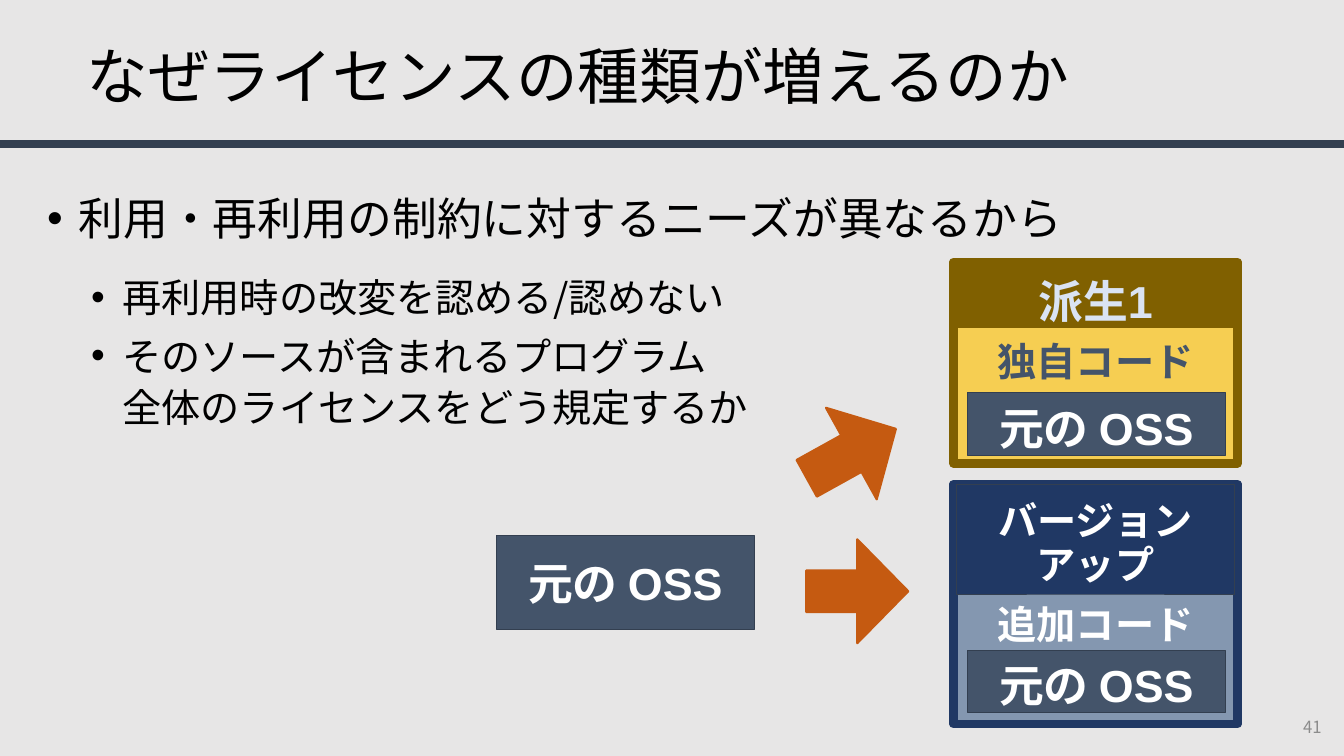
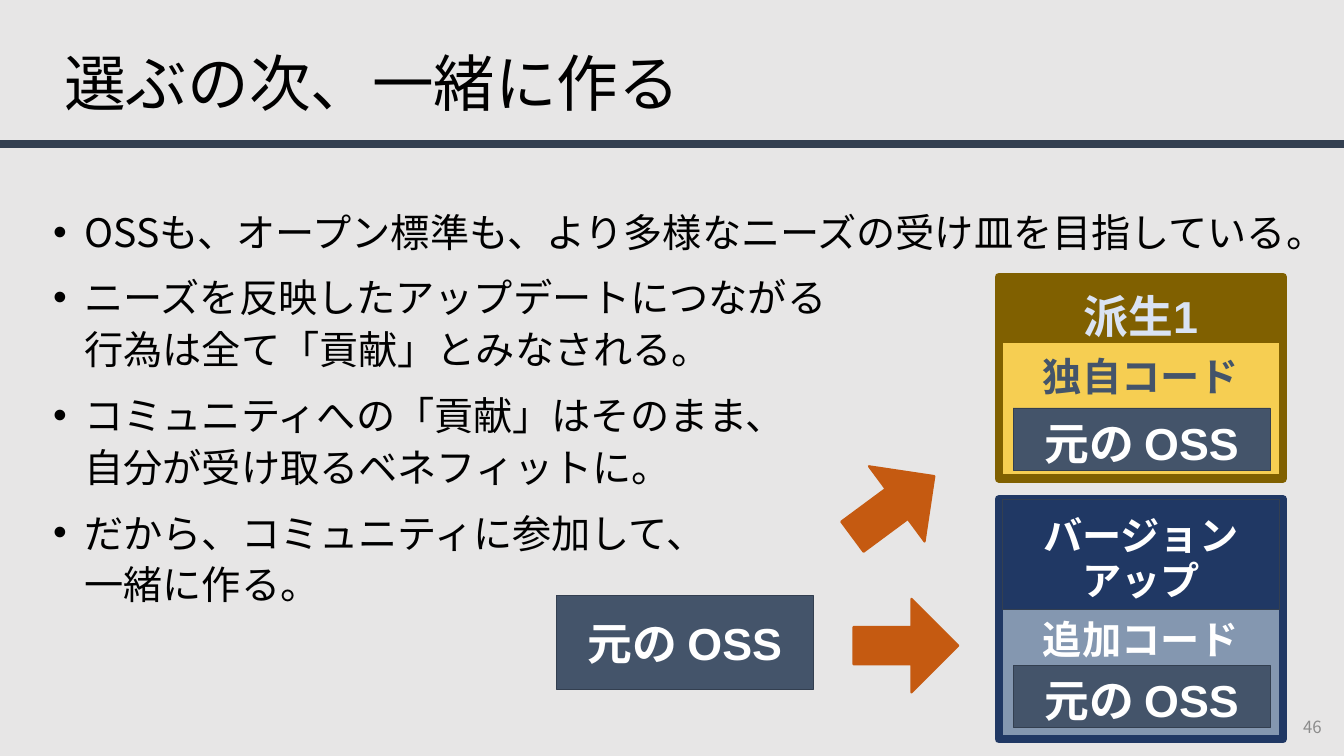
import pptx
import pptx.util
import pptx.dml.color
import pptx.enum.dml
import pptx.enum.lang
import pptx.enum.shapes
import pptx.enum.text
import pptx.oxml.ns
from lxml import etree

Cm, Pt = pptx.util.Cm, pptx.util.Pt
SHAPE = pptx.enum.shapes.MSO_SHAPE
ALIGN = pptx.enum.text.PP_ALIGN
ANCHOR = pptx.enum.text.MSO_ANCHOR
qn = pptx.oxml.ns.qn

# Shared colours and fonts
SANS, ARIAL = "Noto Sans CJK JP", "Arial"
BLACK, WHITE, PAPER, GREY = "000000", "FFFFFF", "E7E6E6", "8C8C8C"
RULE, SLATE, ORANGE = "333F50", "44546A", "C55A11"
BROWN, YELLOW, NAVY, STEEL, PALE = "806000", "F6CE52", "203864", "8497B0", "DAE3F3"

# Shared text formats
PLAIN = dict(name=SANS, bold=False)
TITLE = dict(PLAIN, size=Pt(44))
NUMBER = dict(PLAIN, size=Pt(12))
LABEL = dict(name=ARIAL, bold=True, size=Pt(28))
BIG_LABEL = dict(LABEL, size=Pt(32))

# Shared sizes in centimetres
WIDTH, HEIGHT = 33.87, 19.05
OSS_W = 6.48
PANEL_W = 7.16


def put(obj, values):
    for name, value in values.items():
        setattr(obj, name, value)


def paint(fill, colour):
    fill.solid()
    fill.fore_color.rgb = pptx.dml.color.RGBColor.from_string(colour)


def write(p, text, font, colour):
    """Fill a paragraph; a newline becomes a line break."""
    for i, part in enumerate(text.split("\n")):
        if i:
            p.add_line_break()
        r = p.add_run()
        r.text = part
        put(r.font, font)
        r.font.language_id = pptx.enum.lang.MSO_LANGUAGE_ID.JAPANESE
        paint(r.font.fill, colour)
        etree.SubElement(r.font._element, qn("a:ea"), typeface=SANS)


def add_bullet(p, indent):
    pPr = p._p.get_or_add_pPr()
    pPr.set("marL", str(Cm(indent)))
    pPr.set("indent", str(-Cm(0.79)))
    etree.SubElement(pPr, qn("a:buFont"), typeface=ARIAL)
    etree.SubElement(pPr, qn("a:buChar"), char="•")


def text_frame(s, x, y, w, h, anchor=ANCHOR.MIDDLE):
    tf = s.shapes.add_textbox(Cm(x), Cm(y), Cm(w), Cm(h)).text_frame
    put(tf, dict(word_wrap=True, vertical_anchor=anchor))
    return tf


def add_body(s, x, y, w, items):
    """Bulleted list; each item is text, size, indent and paragraph format."""
    tf = text_frame(s, x, y, w, 12.1, ANCHOR.TOP)
    for i, (text, size, indent, spacing) in enumerate(items):
        p = tf.add_paragraph() if i else tf.paragraphs[0]
        put(p, dict(spacing, line_spacing=1.1))
        add_bullet(p, indent)
        write(p, text, dict(PLAIN, size=Pt(size)), BLACK)


def add_block(shapes, kind, x, y, w, h, fill, line, weight):
    sp = shapes.add_shape(kind, Cm(x), Cm(y), Cm(w), Cm(h))
    sp.shadow.inherit = False
    paint(sp.fill, fill)
    paint(sp.line.fill, line)
    sp.line.width = Pt(weight)
    return sp


def add_label(sp, text, font, colour, top, bottom, anchor=ANCHOR.MIDDLE, spacing=None):
    tf = sp.text_frame
    put(tf, dict(word_wrap=True, vertical_anchor=anchor,
                 margin_top=Cm(top), margin_bottom=Cm(bottom)))
    p = tf.paragraphs[0]
    put(p, dict(alignment=ALIGN.CENTER, line_spacing=spacing))
    write(p, text, font, colour)


def add_oss(shapes, x, y, h=1.57, top=0.3, bottom=0.13):
    sp = add_block(shapes, SHAPE.RECTANGLE, x, y, OSS_W, h, SLATE, RULE, 0.5)
    add_label(sp, "元の OSS", BIG_LABEL, WHITE, top, bottom)


def add_arrow(s, x, y, w, h, rotation=0):
    sp = add_block(s.shapes, SHAPE.RIGHT_ARROW, x, y, w, h, ORANGE, ORANGE, 1.5)
    sp.rotation = rotation
    sp.adjustments[0], sp.adjustments[1] = 0.4, 0.5


def add_panels(s, x, y):
    """Derived work above, version upgrade below, each around the OSS."""
    # Derived work
    g = s.shapes.add_group_shape().shapes
    sp = add_block(g, SHAPE.RECTANGLE, x, y, PANEL_W, 5.08, YELLOW, BROWN, 6)
    add_label(sp, "独自コード", LABEL, SLATE, 1.9, 0.13, ANCHOR.TOP)
    sp = add_block(g, SHAPE.RECTANGLE, x, y + 0.08, PANEL_W, 1.57, BROWN, BROWN, 0.5)
    add_label(sp, "派生1", BIG_LABEL, PALE, 0.5, 0.3)
    add_oss(g, x + 0.36, y + 3.3)

    # Version upgrade
    g = s.shapes.add_group_shape().shapes
    y += 5.6
    sp = add_block(g, SHAPE.RECTANGLE, x, y, PANEL_W, 6.05, STEEL, NAVY, 6)
    add_label(sp, "追加コード", LABEL, WHITE, 2.92, 0.13, ANCHOR.TOP)
    sp = add_block(g, SHAPE.RECTANGLE, x + 0.08, y, PANEL_W - 0.16, 2.77, NAVY, RULE, 0.5)
    add_label(sp, "バージョンアップ", LABEL, WHITE, 0.5, 0.3, spacing=Pt(32))
    add_oss(g, x + 0.36, y + 4.18)


def add_slide(prs, title, x, y, number):
    """Slide with the shared rule, title and page number."""
    s = prs.slides.add_slide(prs.slide_layouts[6])
    rule = s.shapes.add_connector(pptx.enum.shapes.MSO_CONNECTOR.STRAIGHT,
                                  0, Cm(3.63), Cm(WIDTH), Cm(3.63))
    paint(rule.line.fill, RULE)
    rule.line.width = Pt(6)
    etree.SubElement(rule._element.spPr, qn("a:effectLst"))

    p = text_frame(s, x, y, 29.2, 2.64).paragraphs[0]
    p.line_spacing = 1.1
    write(p, title, TITLE, BLACK)

    p = text_frame(s, 30.96, 17.8, 2.6, 1.02).paragraphs[0]
    p.alignment = ALIGN.RIGHT
    write(p, number, NUMBER, GREY)
    return s


def add_reasons(prs):
    s = add_slide(prs, "なぜライセンスの種類が増えるのか", 1.93, 0.48, "41")
    sub = dict(level=1, space_before=Pt(5))
    add_body(s, 0.94, 4.55, 29.2, [
        ("利用・再利用の制約に対するニーズが異なるから", 32, 0.79, dict(space_after=Pt(12))),
        ("再利用時の改変を認める/認めない", 28, 1.9, sub),
        ("そのソースが含まれるプログラム\n全体のライセンスをどう規定するか", 28, 1.9, sub),
    ])
    add_panels(s, 24.03, 6.6)
    add_oss(s.shapes, 12.52, 13.49, 2.36, 0.5, 0.5)
    add_arrow(s, 20.32, 13.59, 2.57, 2.62)
    add_arrow(s, 20.17, 10.11, 2.57, 2.64, 331)


def add_together(prs):
    s = add_slide(prs, "選ぶの次、一緒に作る", 1.37, 0.66, "46")
    lines = [
        "OSSも、オープン標準も、より多様なニーズの受け皿を目指している。",
        "ニーズを反映したアップデートにつながる\n行為は全て「貢献」とみなされる。",
        "コミュニティへの「貢献」はそのまま、\n自分が受け取るベネフィットに。",
        "だから、コミュニティに参加して、\n一緒に作る。",
    ]
    add_body(s, 1.09, 5, 32.36, [
        (line, 28, 0.79, dict(space_before=Pt(10 if i else 0)))
        for i, line in enumerate(lines)])
    add_panels(s, 25.17, 6.98)
    add_oss(s.shapes, 14.02, 15.01, 2.36, 0.5, 0.5)
    add_arrow(s, 21.51, 15.09, 2.64, 2.36)
    add_arrow(s, 21.23, 11.58, 2.57, 2.36, 323.5)


def main():
    prs = pptx.Presentation()
    put(prs, dict(slide_width=Cm(WIDTH), slide_height=Cm(HEIGHT)))
    paint(prs.slide_master.background.fill, PAPER)
    add_reasons(prs)
    add_together(prs)
    prs.save("out.pptx")


if __name__ == "__main__":
    main()
